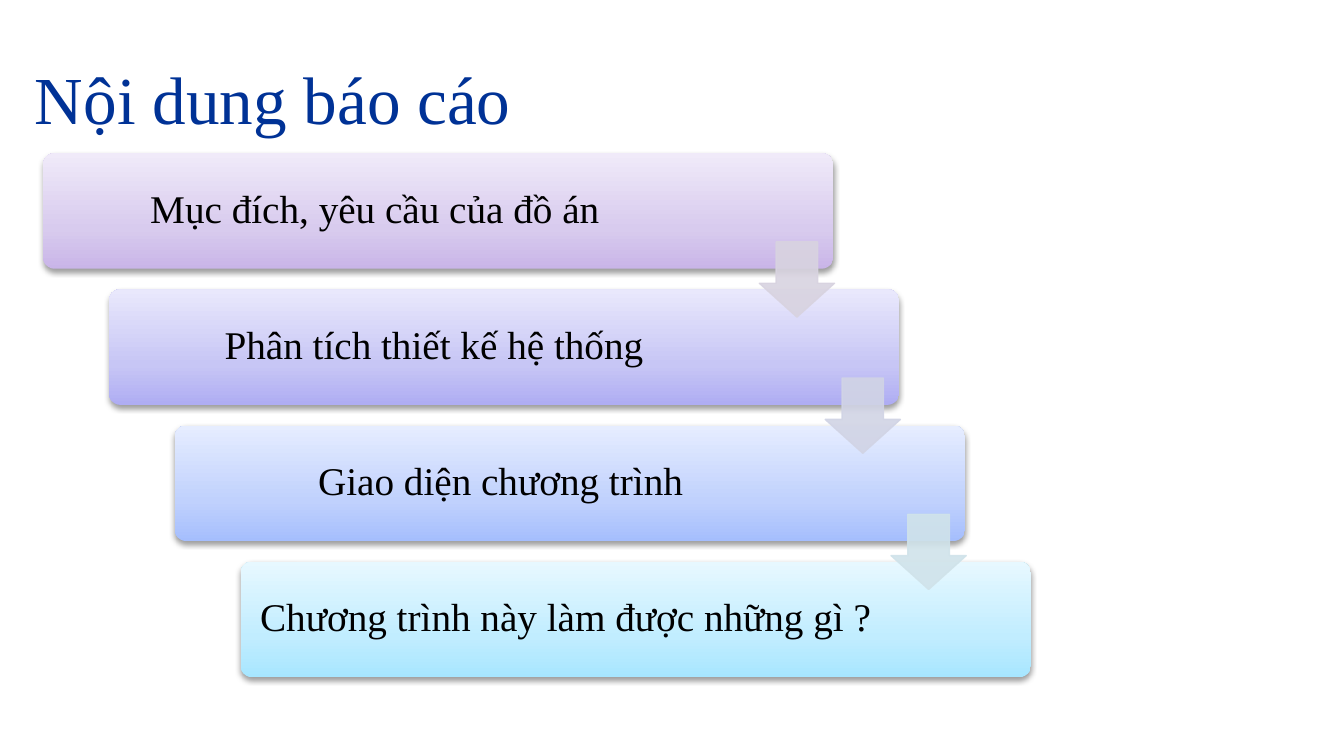
from lxml.etree import SubElement
from pptx import Presentation
from pptx.dml.color import RGBColor
from pptx.enum.shapes import MSO_SHAPE as Shape
from pptx.enum.text import MSO_ANCHOR as Anchor, PP_ALIGN as Align
from pptx.oxml.ns import qn
from pptx.util import Inches, Pt

FONT = "Times New Roman"
NAVY = RGBColor(0x00, 0x32, 0x96)
BLACK = RGBColor(0x00, 0x00, 0x00)
TITLE = "N\u00f4\u0323i dung ba\u0301o ca\u0301o"
STEPS = [
    ("Mu\u0323c \u0111i\u0301ch, y\u00eau c\u00e2\u0300u cu\u0309a \u0111\u00f4\u0300 a\u0301n",
     4.88, ("C9B5E8", "D8CBEE", "F0EAF9")),
    ("Ph\u00e2n ti\u0301ch thi\u00ea\u0301t k\u00ea\u0301 h\u00ea\u0323 th\u00f4\u0301ng",
     4.78, ("AFADF3", "C7C6F5", "E9E8FC")),
    ("Giao di\u00ea\u0323n ch\u01b0\u01a1ng tri\u0300nh",
     4.79, ("A5BEFD", "C0D1FD", "E6EDFF")),
    ("Ch\u01b0\u01a1ng tri\u0300nh na\u0300y la\u0300m \u0111\u01b0\u01a1\u0323c nh\u01b0\u0303ng gi\u0300 ?",
     4.78, ("A7E6FF", "C1EDFF", "E7F8FF")),
]
ARROW_COLORS = [
    RGBColor(0xD8, 0xD3, 0xE0),
    RGBColor(0xD1, 0xD4, 0xE5),
    RGBColor(0xD0, 0xE3, 0xEA),
]
STOPS = (0, 35, 100)
LEFT, TOP, WIDTH, HEIGHT = 0.32, 1.14, 5.88, 0.86
LAST_TOP = 4.18
STEP_X, STEP_Y = 0.49, (LAST_TOP - TOP) / (len(STEPS) - 1)
ARROW_X, ARROW_Y, ARROW_SIZE = 5.65, 1.8, 0.56


def add(parent, tag, **attributes):
    return SubElement(parent, qn(tag), {k: str(v) for k, v in attributes.items()})


def format_text(frame, size, color, align):
    frame.word_wrap = True
    frame.vertical_anchor = Anchor.MIDDLE
    para = frame.paragraphs[0]
    para.alignment = align
    font = para.runs[0].font
    font.name, font.size = FONT, Pt(size)
    font.color.rgb = color


def fill_gradient(bar, colors):
    bar.fill.gradient()
    bar.fill.gradient_angle = 90
    stops = bar._element.spPr.find(".//" + qn("a:gsLst"))
    for stop in list(stops):
        stops.remove(stop)
    for position, color in zip(STOPS, colors):
        stop = add(stops, "a:gs", pos=position * 1000)
        add(stop, "a:srgbClr", val=color)


def add_shadow(bar):
    bar.shadow.inherit = False
    effects = bar._element.spPr.find(qn("a:effectLst"))
    shadow = add(effects, "a:outerShdw", blurRad=Pt(3.1), dist=Pt(1.6),
                 dir=5400000, rotWithShape=0)
    add(add(shadow, "a:srgbClr", val=BLACK), "a:alpha", val=38000)


def add_step(index, text, text_width, colors):
    left, top = LEFT + index * STEP_X, TOP + index * STEP_Y
    bar = slide.shapes.add_shape(Shape.ROUNDED_RECTANGLE, Inches(left), Inches(top),
                                 Inches(WIDTH), Inches(HEIGHT))
    bar.adjustments[0] = 0.1
    fill_gradient(bar, colors)
    bar.line.fill.background()
    add_shadow(bar)
    box = slide.shapes.add_textbox(Inches(left + 0.03), Inches(top + 0.02),
                                   Inches(text_width), Inches(0.81))
    frame = box.text_frame
    frame.text = text
    frame.margin_left = frame.margin_right = Inches(0.09)
    frame.margin_top = frame.margin_bottom = Inches(0.09)
    frame.paragraphs[0].line_spacing = 0.9
    format_text(frame, 21, BLACK, Align.CENTER)


def add_arrow(index, color):
    arrow = slide.shapes.add_shape(
        Shape.DOWN_ARROW, Inches(ARROW_X + index * STEP_X),
        Inches(ARROW_Y + index * STEP_Y), Inches(ARROW_SIZE), Inches(ARROW_SIZE))
    arrow.adjustments[0], arrow.adjustments[1] = 0.55, 0.45
    arrow.shadow.inherit = False
    arrow.fill.solid()
    arrow.fill.fore_color.rgb = color
    arrow.line.color.rgb = color
    arrow.line.width = Pt(0.75)
    for paint in arrow._element.spPr.iter(qn("a:srgbClr")):
        add(paint, "a:alpha", val=90000)


deck = Presentation()
deck.slide_width = Inches(10)
deck.slide_height = deck.slide_width * 9 // 16
slide = deck.slides.add_slide(deck.slide_layouts[5])

title = slide.shapes.title
title.left, title.top = Inches(0.16), Inches(0.31)
title.width, title.height = Inches(6.84), Inches(0.84)
title.text_frame.text = TITLE
format_text(title.text_frame, 36, NAVY, Align.LEFT)

for index, step in enumerate(STEPS):
    add_step(index, *step)
for index, color in enumerate(ARROW_COLORS):
    add_arrow(index, color)

deck.save("out.pptx")
